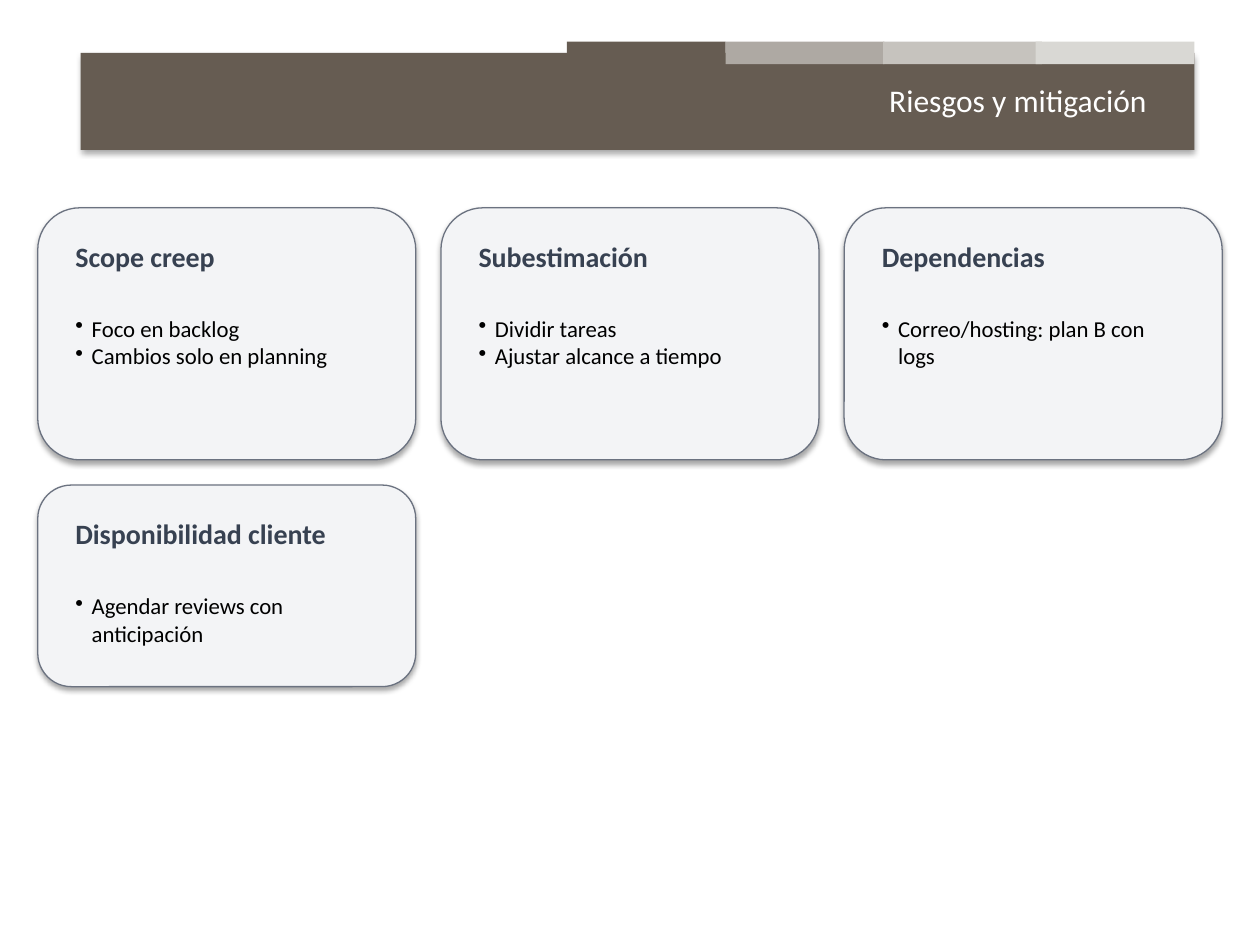
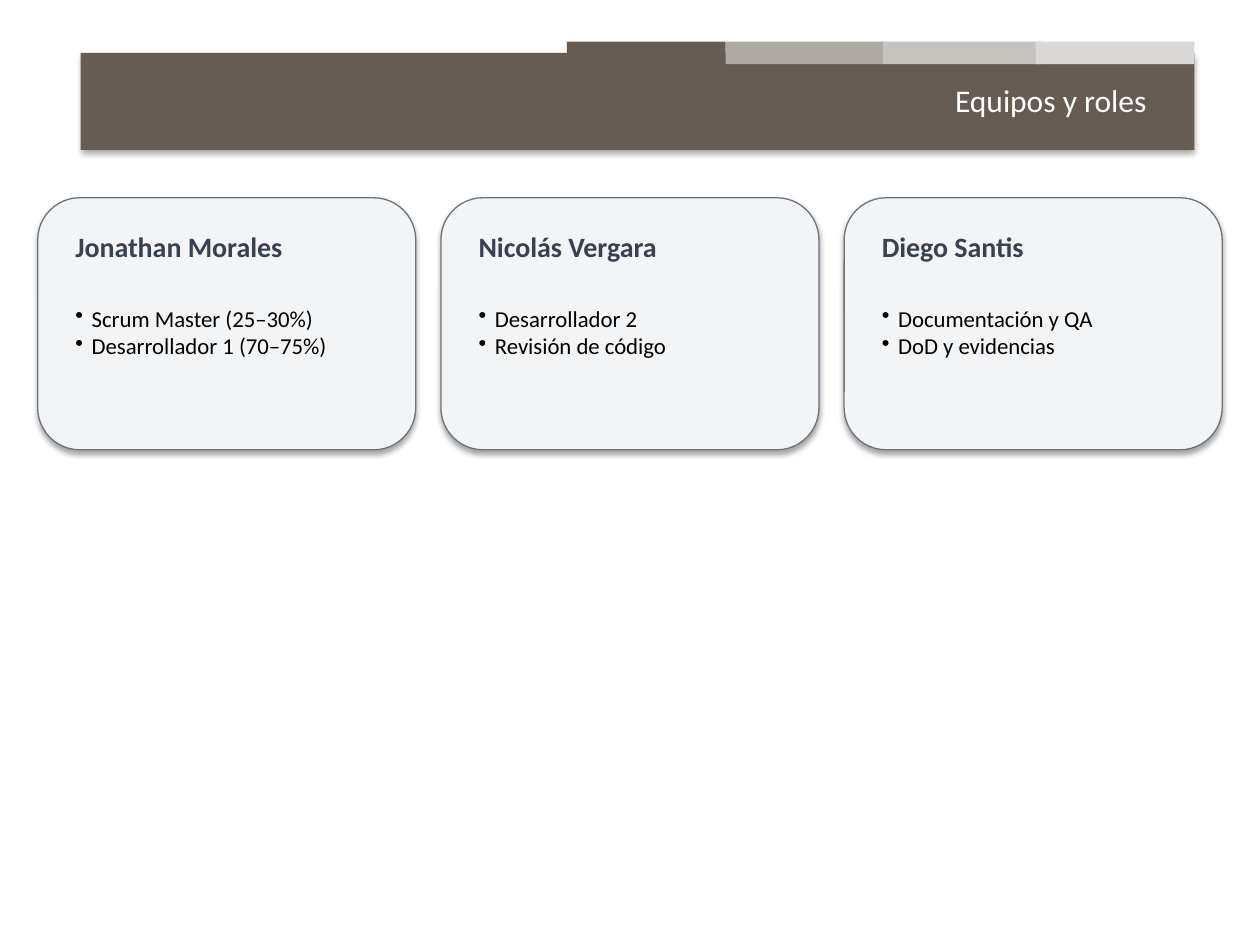
from dataclasses import dataclass

import pptx
import pptx.dml.color
import pptx.enum.shapes
import pptx.enum.text
import pptx.oxml.ns
import pptx.presentation
import pptx.shapes.autoshape
import pptx.slide
import pptx.text.text
import pptx.util
from lxml import etree

RGBColor = pptx.dml.color.RGBColor
MSO_SHAPE = pptx.enum.shapes.MSO_SHAPE

BROWN = RGBColor(0x66, 0x5C, 0x52)
TAUPE = RGBColor(0xAE, 0xA9, 0xA3)
SAND = RGBColor(0xC6, 0xC3, 0xBE)
PALE = RGBColor(0xD9, 0xD8, 0xD4)
WHITE = RGBColor(0xFF, 0xFF, 0xFF)
BLACK = RGBColor(0x00, 0x00, 0x00)
CARD_FILL = RGBColor(0xF3, 0xF4, 0xF6)
CARD_LINE = RGBColor(0x6B, 0x72, 0x80)
HEADING = RGBColor(0x37, 0x41, 0x51)

FONT = "Calibri"
PX = 9144
COLUMNS = 3
CARD_LEFT, CARD_W, GAP = 30, 300, 20
ROW_HEIGHTS = (200, 160)
PAD = 20
LIST_DROP = 80
BULLET_INDENT = 13


@dataclass(frozen=True)
class Box:
    x: int
    y: int
    w: int
    h: int

    def emu(self) -> tuple[int, int, int, int]:
        return self.x * PX, self.y * PX, self.w * PX, self.h * PX


@dataclass(frozen=True)
class Band:
    box: Box
    color: RGBColor
    shadow: bool = False


@dataclass(frozen=True)
class Card:
    heading: str
    items: tuple[str, ...]


@dataclass(frozen=True)
class CardSlide:
    title: str
    top: int
    cards: tuple[Card, ...]


TITLE_BOX = Box(565, 59, 355, 40)
BANDS = (
    Band(Box(64, 42, 884, 77), BROWN, shadow=True),
    Band(Box(450, 33, 126, 18), BROWN),
    Band(Box(576, 33, 126, 18), TAUPE),
    Band(Box(701, 33, 126, 18), SAND),
    Band(Box(822, 33, 126, 18), PALE),
)
SLIDES = (
    CardSlide("Riesgos y mitigación", 165, (
        Card("Scope creep", ("Foco en backlog", "Cambios solo en planning")),
        Card("Subestimación", ("Dividir tareas", "Ajustar alcance a tiempo")),
        Card("Dependencias", ("Correo/hosting: plan B con logs",)),
        Card("Disponibilidad cliente", ("Agendar reviews con anticipación",)),
    )),
    CardSlide("Equipos y roles", 157, (
        Card("Jonathan Morales", ("Scrum Master (25–30%)", "Desarrollador 1 (70–75%)")),
        Card("Nicolás Vergara", ("Desarrollador 2", "Revisión de código")),
        Card("Diego Santis", ("Documentación y QA", "DoD y evidencias")),
    )),
)


def format_runs(tf: pptx.text.text.TextFrame, size: int, color: RGBColor, bold: bool = False) -> None:
    for p in tf.paragraphs:
        for r in p.runs:
            r.font.name = FONT
            r.font.size = pptx.util.Pt(size)
            r.font.bold = bold
            r.font.color.rgb = color


def add_filled(s: pptx.slide.Slide, kind: MSO_SHAPE, box: Box, color: RGBColor) -> pptx.shapes.autoshape.Shape:
    sp = s.shapes.add_shape(kind, *box.emu())
    sp.fill.solid()
    sp.fill.fore_color.rgb = color
    return sp


def add_text(s: pptx.slide.Slide, box: Box, text: str) -> pptx.text.text.TextFrame:
    tf = s.shapes.add_textbox(*box.emu()).text_frame
    tf.word_wrap = True
    tf.auto_size = pptx.enum.text.MSO_AUTO_SIZE.SHAPE_TO_FIT_TEXT
    tf.text = text
    return tf


def add_bullet(p: pptx.text.text._Paragraph) -> None:
    pPr = p._p.get_or_add_pPr()
    pPr.set("marL", str(BULLET_INDENT * PX))
    pPr.set("indent", str(-BULLET_INDENT * PX))
    etree.SubElement(pPr, pptx.oxml.ns.qn("a:buChar")).set("char", "•")


def add_bands(s: pptx.slide.Slide) -> None:
    layout = s.slide_layout
    for ph in list(layout.placeholders)[1:]:
        ph.element.getparent().remove(ph.element)
    shapes = []
    for band in BANDS:
        sp = add_filled(s, MSO_SHAPE.RECTANGLE, band.box, band.color)
        sp.line.fill.background()
        if not band.shadow:
            sp.shadow.inherit = False
        shapes.append(sp)
    for sp in shapes:
        layout.shapes.element.append(sp.element)


def add_title(s: pptx.slide.Slide, text: str) -> None:
    title = s.shapes.title
    title.left, title.top, title.width, title.height = TITLE_BOX.emu()
    tf = title.text_frame
    tf.text = text
    tf.word_wrap = True
    tf.auto_size = pptx.enum.text.MSO_AUTO_SIZE.NONE
    tf.paragraphs[0].alignment = pptx.enum.text.PP_ALIGN.RIGHT
    format_runs(tf, 18, WHITE)


def add_card(s: pptx.slide.Slide, card: Card, box: Box) -> None:
    sp = add_filled(s, MSO_SHAPE.ROUNDED_RECTANGLE, box, CARD_FILL)
    sp.line.color.rgb = CARD_LINE
    sp.line.width = pptx.util.Pt(0.75)
    x, w = box.x + PAD, box.w - 2 * PAD
    tf = add_text(s, Box(x, box.y + PAD, w, 37), card.heading)
    format_runs(tf, 16, HEADING, bold=True)
    tf = add_text(s, Box(x, box.y + LIST_DROP, w, 54), "\n".join(card.items))
    for p in tf.paragraphs:
        add_bullet(p)
    format_runs(tf, 13, BLACK)


def add_cards(s: pptx.slide.Slide, content: CardSlide) -> None:
    for i, card in enumerate(content.cards):
        row, column = divmod(i, COLUMNS)
        x = CARD_LEFT + column * (CARD_W + GAP)
        y = content.top + sum(ROW_HEIGHTS[:row]) + row * GAP
        add_card(s, card, Box(x, y, CARD_W, ROW_HEIGHTS[row]))


def main() -> None:
    prs = pptx.Presentation()
    prs.slide_width, prs.slide_height = 1000 * PX, 750 * PX
    layout = prs.slide_layouts.get_by_name("Title Only")
    for i, content in enumerate(SLIDES):
        s = prs.slides.add_slide(layout)
        if i == 0:
            add_bands(s)
        add_title(s, content.title)
        add_cards(s, content)
    prs.save("out.pptx")


if __name__ == "__main__":
    main()
